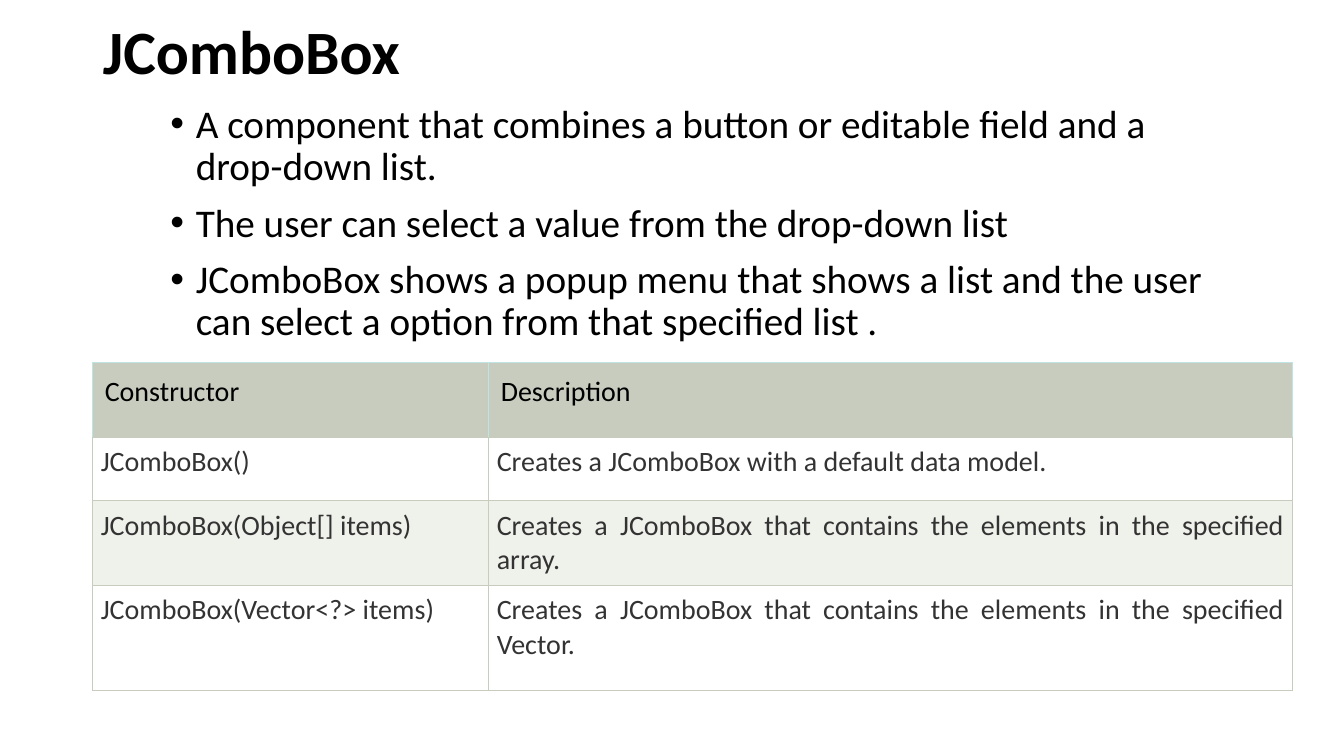
from pptx import Presentation
from pptx.dml.color import RGBColor
from pptx.enum.text import MSO_ANCHOR, MSO_AUTO_SIZE, PP_ALIGN
from pptx.oxml import parse_xml
from pptx.oxml.ns import nsdecls
from pptx.util import Cm, Pt

LEFT, JUSTIFY = PP_ALIGN.LEFT, PP_ALIGN.JUSTIFY
TOP, MIDDLE = MSO_ANCHOR.TOP, MSO_ANCHOR.MIDDLE
NO_FIT = MSO_AUTO_SIZE.NONE

TITLE = "JComboBox"
POINTS = [
    "A component that combines a button or editable field and a drop-down list.",
    "The user can select a value from the drop-down list",
    "JComboBox shows a popup menu that shows a list and the user can select a option from that specified list .",
]
ROWS = [
    ("Constructor", "Description"),
    ("JComboBox()", "Creates a JComboBox with a default data model."),
    ("JComboBox(Object[] items)",
     "Creates a JComboBox that contains the elements in the specified array."),
    ("JComboBox(Vector<?> items)",
     "Creates a JComboBox that contains the elements in the specified Vector."),
]
THEME = {
    "font": "Calibri", "title": 44, "body": 28, "cell": 20,
    "ink": "000000", "soft": "333333", "head": "C7CCBE",
    "plain": "FFFFFF", "band": "EFF1EB", "edge": "C7CCBE", "trim": "C0E4E3",
}
WIDTHS = [9.98, 20.24]
HEIGHTS = [1.88, 1.6, 2.13, 2.64]


def place(shape, left, top, width, height):
    shape.left, shape.top = Cm(left), Cm(top)
    shape.width, shape.height = Cm(width), Cm(height)


def style(para, size, color="ink", bold=False, align=LEFT):
    para.alignment = align
    for run in para.runs:
        font = run.font
        font.name, font.size, font.bold = THEME["font"], Pt(THEME[size]), bold
        font.color.rgb = RGBColor.from_string(THEME[color])


def border(cell, sides):
    props = cell._tc.get_or_add_tcPr()
    for side, color in sides.items():
        props.append(parse_xml(
            f'<a:ln{side} {nsdecls("a")} w="{Pt(0.75)}"><a:solidFill>'
            f'<a:srgbClr val="{THEME[color]}"/></a:solidFill></a:ln{side}>'))


def add_title(slide):
    title = slide.shapes.title
    place(title, 2.34, 0.25, 29.21, 2.24)
    frame = title.text_frame
    frame.text = TITLE
    frame.auto_size, frame.vertical_anchor = NO_FIT, MIDDLE
    para = frame.paragraphs[0]
    para.line_spacing = 0.9
    style(para, "title", bold=True)


def add_list(slide):
    body = slide.placeholders[1]
    place(body, 4.04, 2.51, 26.67, 6.63)
    frame = body.text_frame
    frame.text = "\n".join(POINTS)
    frame.auto_size, frame.vertical_anchor = NO_FIT, TOP
    for para in frame.paragraphs:
        para.line_spacing, para.space_before = 0.9, Pt(10)
        props = para._p.get_or_add_pPr()
        props.set("marL", str(Cm(0.64)))
        props.set("indent", str(-Cm(0.64)))
        style(para, "body")


def fill_cell(cell, text, row):
    head = row == 0
    side = "trim" if head else "edge"
    upper = "trim" if head else "edge"
    cell.text = text
    cell.vertical_anchor = TOP
    inset = Cm(0.3 if head else 0.2)
    cell.margin_left = cell.margin_right = inset
    cell.margin_top = cell.margin_bottom = inset
    border(cell, {"L": side, "R": side, "T": upper, "B": "edge"})
    shade = "head" if head else "plain" if row % 2 else "band"
    cell.fill.solid()
    cell.fill.fore_color.rgb = RGBColor.from_string(THEME[shade])
    style(cell.text_frame.paragraphs[0], "cell",
          "ink" if head else "soft", align=LEFT if head else JUSTIFY)


def add_grid(slide):
    table = slide.shapes.add_table(
        len(ROWS), len(WIDTHS), Cm(2.34), Cm(9.14),
        Cm(sum(WIDTHS)), Cm(sum(HEIGHTS))).table
    table.first_row = table.horz_banding = False
    for col, width in zip(table.columns, WIDTHS):
        col.width = Cm(width)
    for line, height in zip(table.rows, HEIGHTS):
        line.height = Cm(height)
    for row, texts in enumerate(ROWS):
        for col, text in enumerate(texts):
            fill_cell(table.cell(row, col), text, row)


def main():
    deck = Presentation()
    deck.slide_width, deck.slide_height = Cm(33.87), Cm(19.05)
    slide = deck.slides.add_slide(deck.slide_layouts[1])
    add_title(slide)
    add_list(slide)
    add_grid(slide)
    deck.save("out.pptx")


if __name__ == "__main__":
    main()
